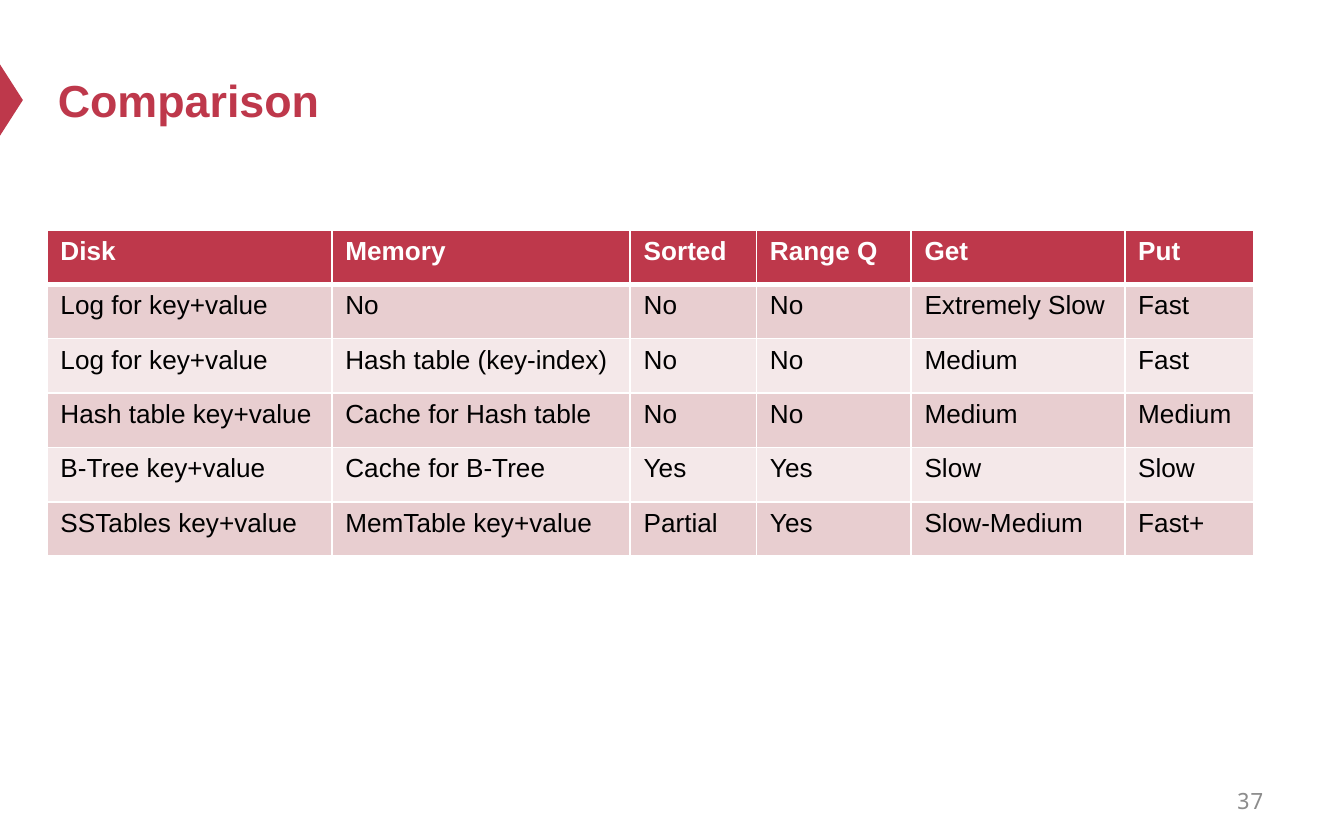
from lxml import etree
from pptx import Presentation
from pptx.dml.color import RGBColor
from pptx.enum.shapes import MSO_SHAPE
from pptx.enum.text import MSO_ANCHOR, PP_ALIGN
from pptx.oxml.ns import qn
from pptx.util import Inches, Pt

TRIANGLE = MSO_SHAPE.ISOSCELES_TRIANGLE
MIDDLE, TOP = MSO_ANCHOR.MIDDLE, MSO_ANCHOR.TOP
LEFT, RIGHT = PP_ALIGN.LEFT, PP_ALIGN.RIGHT

COLORS = {
    "accent": "BE384B",
    "band_dark": "E8CED0",
    "band_light": "F4E8E9",
    "white": "FFFFFF",
    "black": "000000",
    "grey": "8C8C8C",
}

ROWS = [
    ["Disk", "Memory", "Sorted", "Range Q", "Get", "Put"],
    ["Log for key+value", "No", "No", "No", "Extremely Slow", "Fast"],
    ["Log for key+value", "Hash table (key-index)", "No", "No", "Medium", "Fast"],
    ["Hash table key+value", "Cache for Hash table", "No", "No", "Medium", "Medium"],
    ["B-Tree key+value", "Cache for B-Tree", "Yes", "Yes", "Slow", "Slow"],
    ["SSTables key+value", "MemTable key+value", "Partial", "Yes", "Slow-Medium", "Fast+"],
]
COL_WIDTHS = [2.12, 2.22, 0.94, 1.15, 1.59, 0.96]
ROW_HEIGHT = 2.43 / len(ROWS)


def rgb(name):
    return RGBColor.from_string(COLORS[name])


def write(tf, text, size=14, color="black", bold=False, font="Arial",
          align=LEFT, anchor=TOP):
    tf.word_wrap = True
    tf.vertical_anchor = anchor
    p = tf.paragraphs[0]
    p.alignment = align
    r = p.add_run()
    r.text = text
    r.font.name, r.font.size, r.font.bold = font, Pt(size), bold
    r.font.color.rgb = rgb(color)


def set_borders(cell, color="white", **widths):
    tcPr = cell._tc.get_or_add_tcPr()
    for side in "LRTB":
        ln = etree.SubElement(tcPr, qn(f"a:ln{side}"), w=str(Pt(widths.get(side, 1))))
        fill = etree.SubElement(ln, qn("a:solidFill"))
        etree.SubElement(fill, qn("a:srgbClr"), val=COLORS[color])


class SlideBuilder:
    def __init__(self, prs):
        self.s = prs.slides.add_slide(prs.slide_layouts[5])

    def title(self, text, x, y, w, h):
        sp = self.s.shapes.title
        sp.left, sp.top, sp.width, sp.height = map(Inches, (x, y, w, h))
        write(sp.text_frame, text, size=24, color="accent", bold=True, anchor=MIDDLE)

    def marker(self, x, y, w, h):
        sp = self.s.shapes.add_shape(TRIANGLE, *map(Inches, (x, y, w, h)))
        sp.rotation = 90
        sp.shadow.inherit = False
        sp.fill.solid()
        sp.fill.fore_color.rgb = rgb("accent")
        sp.line.fill.background()

    def text(self, text, x, y, w, h, **fmt):
        sp = self.s.shapes.add_textbox(*map(Inches, (x, y, w, h)))
        write(sp.text_frame, text, **fmt)

    def table(self, rows, col_widths, row_height, x, y):
        size = (sum(col_widths), row_height * len(rows))
        frame = self.s.shapes.add_table(len(rows), len(col_widths),
                                        *map(Inches, (x, y, *size)))
        table = frame.table
        for col, width in zip(table.columns, col_widths):
            col.width = Inches(width)
        for i, row in enumerate(rows):
            table.rows[i].height = Inches(row_height)
            header = i == 0
            band = "accent" if header else "band_dark" if i % 2 else "band_light"
            # Thick rule between the header and the first body row
            rule = {0: {"B": 3}, 1: {"T": 3}}.get(i, {})
            for j, text in enumerate(row):
                cell = table.cell(i, j)
                set_borders(cell, **rule)
                cell.fill.solid()
                cell.fill.fore_color.rgb = rgb(band)
                write(cell.text_frame, text, bold=header,
                      color="white" if header else "black")


def main():
    prs = Presentation()
    prs.slide_width, prs.slide_height = Inches(10), Inches(6.25)
    slide = SlideBuilder(prs)

    # Heading with its edge marker
    slide.marker(-0.18, 0.66, 0.53, 0.17)
    slide.title("Comparison", 0.33, 0.25, 9, 0.98)

    # Comparison of storage designs
    slide.table(ROWS, COL_WIDTHS, ROW_HEIGHT, 0.35, 1.71)

    # Page number
    slide.text("37", 7.17, 5.79, 2.33, 0.33, size=12, color="grey",
               font="Noto Sans Mono", align=RIGHT, anchor=MIDDLE)

    prs.save("out.pptx")


if __name__ == "__main__":
    main()
